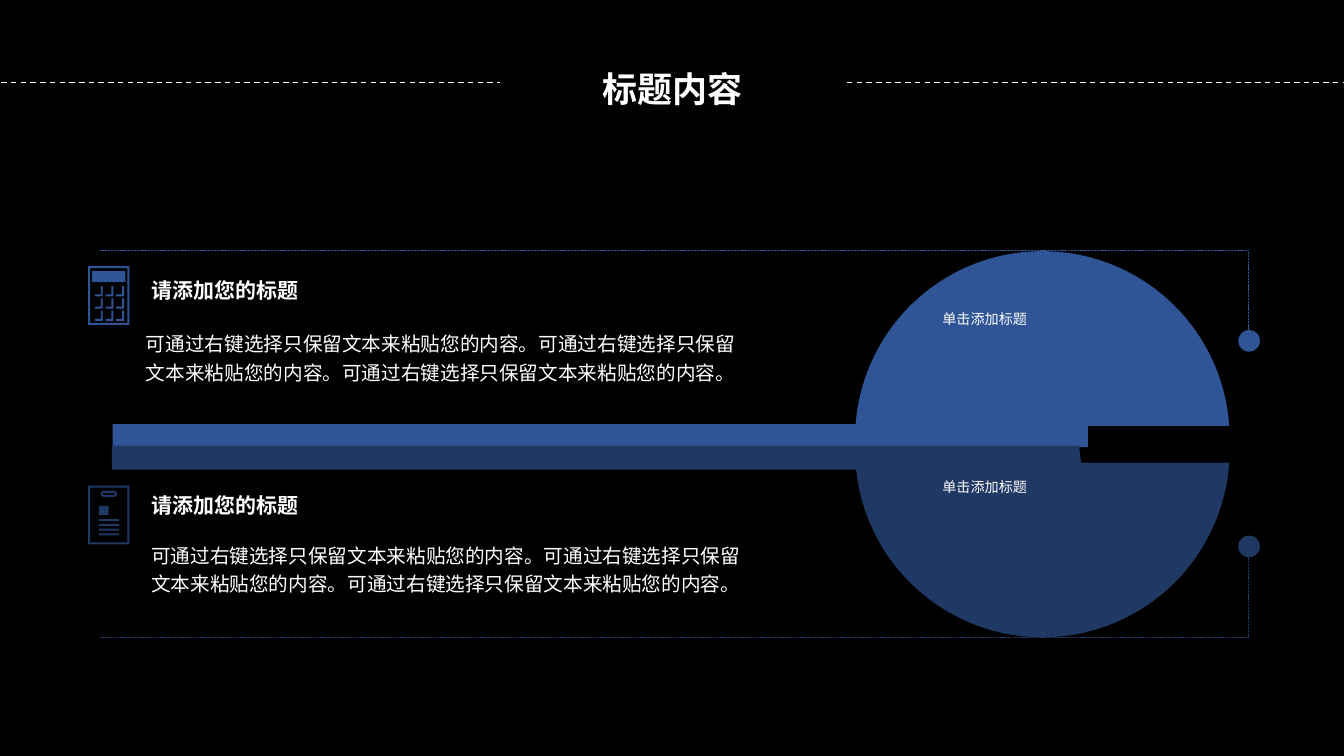
import math

import lxml.etree
import pptx
import pptx.dml.color
import pptx.enum.dml
import pptx.enum.shapes
import pptx.enum.text
import pptx.oxml.ns
import pptx.util

Cm = pptx.util.Cm
Pt = pptx.util.Pt
RGBColor = pptx.dml.color.RGBColor
Anchor = pptx.enum.text.MSO_ANCHOR
Dash = pptx.enum.dml.MSO_LINE
Connector = pptx.enum.shapes.MSO_CONNECTOR

# Content
TITLE = "标题内容"
HEADING = "请添加您的标题"
DETAIL = "可通过右键选择只保留文本来粘贴您的内容。" * 3
LABEL = "单击添加标题"

FONT = "Noto Sans CJK SC"
BLACK = RGBColor(0x00, 0x00, 0x00)
WHITE = RGBColor(0xFF, 0xFF, 0xFF)
BLUE = RGBColor(0x2F, 0x55, 0x97)
NAVY = RGBColor(0x20, 0x38, 0x64)

# Each half: direction is -1 for the upper and 1 for the lower; lengths in cm
HALVES = [
    {"color": BLUE, "direction": -1, "center": 11.05, "label": 7.7,
     "heading": 6.86, "detail": (3.43, 8.13), "frame": 6.3, "dot": 8.59},
    {"color": NAVY, "direction": 1, "center": 11.34, "label": 11.94,
     "heading": 12.29, "detail": (3.56, 13.46), "frame": 16.05, "dot": 13.77},
]
DISC_X, DISC_RADIUS, CHORD_OFFSET = 26.27, 4.72, 0.32
BAR_LEFT = 2.84
FRAME_LEFT, FRAME_RIGHT = 2.51, 31.5
DOT_X, DOT_SIZE = 31.48, 0.51
ICON_LEFT, ICON_WIDTH, ICON_HEIGHT, STROKE = 2.22, 1.04, 1.48, 0.05

deck = pptx.Presentation()
deck.slide_width, deck.slide_height = Cm(33.87), Cm(19.05)
page = deck.slides.add_slide(deck.slide_layouts[5])
page.background.fill.solid()
page.background.fill.fore_color.rgb = BLACK


def paint(shape, color, outline=None):
    shape.shadow.inherit = False
    shape.fill.solid()
    shape.fill.fore_color.rgb = color
    if outline:
        shape.line.color.rgb = color
        shape.line.width = Pt(outline)
    else:
        shape.line.fill.background()


def add_outline(contours, color, outline=None):
    """Draw closed contours, given in cm, as one shape."""
    builder = None
    for contour in contours:
        points = [(Cm(x), Cm(y)) for x, y in contour]
        if builder is None:
            builder = page.shapes.build_freeform(*points[0])
        else:
            builder.move_to(*points[0])
        builder.add_line_segments(points[1:], close=True)
    paint(builder.convert_to_shape(), color, outline)


def add_line(kind, start, end, color, width, dash):
    line = page.shapes.add_connector(kind, *map(Cm, start + end))
    line.line.color.rgb = color
    line.line.width = Pt(width)
    line.line.dash_style = dash
    lxml.etree.SubElement(line._element.spPr, pptx.oxml.ns.qn("a:effectLst"))
    return line


def write(box, text, size, bold=False, wrap=True, spacing=None):
    frame = box.text_frame
    frame.word_wrap = wrap
    frame.auto_size = pptx.enum.text.MSO_AUTO_SIZE.SHAPE_TO_FIT_TEXT
    frame.text = text
    para = frame.paragraphs[0]
    para.line_spacing = spacing
    para.font.name, para.font.size = FONT, Pt(size)
    para.font.bold, para.font.color.rgb = bold, WHITE
    return para


def add_text(left, top, width, height, *args, **options):
    box = page.shapes.add_textbox(*map(Cm, (left, top, width, height)))
    write(box, *args, **options)


def rectangle(left, top, width, height):
    right, bottom = left + width, top + height
    return [(left, top), (right, top), (right, bottom), (left, bottom)]


def icon_frame(top):
    return [rectangle(ICON_LEFT, top, ICON_WIDTH, ICON_HEIGHT),
            rectangle(ICON_LEFT + STROKE, top + STROKE,
                      ICON_WIDTH - 2 * STROKE, ICON_HEIGHT - 2 * STROKE)]


def capsule(left, top, width, height):
    radius = height / 2
    points = []
    for center, first in ((left + width - radius, -90), (left + radius, 90)):
        for step in range(9):
            angle = math.radians(first + step * 22.5)
            points.append((center + radius * math.cos(angle),
                           top + radius + radius * math.sin(angle)))
    return points


# Title between two dashed rules
title = page.shapes.title
title.left, title.top, title.width, title.height = map(Cm, (14.76, 1.57, 4.39, 1.32))
write(title, TITLE, 25, bold=True).alignment = pptx.enum.text.PP_ALIGN.CENTER
title.text_frame.vertical_anchor = Anchor.MIDDLE
for left, right in ((0.03, 12.6), (21.34, 33.87)):
    add_line(Connector.STRAIGHT, (left, 2.08), (right, 2.08), WHITE, 1, Dash.DASH)

# Key shaft
shaft = page.shapes.add_shape(pptx.enum.shapes.MSO_SHAPE.RECTANGLE,
                              *map(Cm, (BAR_LEFT, 10.69, 24.58, 0.58)))
paint(shaft, BLUE)
add_outline([[(BAR_LEFT, 11.25), (27.18, 11.25), (27.21, 11.53),
              (27.25, 11.82), (BAR_LEFT, 11.82)]], NAVY, 1)

# Half discs, dotted frames and text
chord_angle = math.asin(CHORD_OFFSET / DISC_RADIUS)
for half in HALVES:
    color = half["color"]
    angles = [chord_angle + (math.pi - 2 * chord_angle) * step / 90
              for step in range(91)]
    add_outline([[(DISC_X + DISC_RADIUS * math.cos(angle),
                   half["center"] + half["direction"] * DISC_RADIUS * math.sin(angle))
                  for angle in angles]], color)
    add_text(23.5, half["label"], 4.55, 1.17, LABEL, 10.1, wrap=False)

    elbow = add_line(Connector.ELBOW, (FRAME_LEFT, half["frame"]),
                     (FRAME_RIGHT, half["dot"]), color, 0.5, Dash.SQUARE_DOT)
    guides = elbow._element.spPr.prstGeom.get_or_add_avLst()
    lxml.etree.SubElement(guides, pptx.oxml.ns.qn("a:gd"),
                          name="adj1", fmla="val 99900")
    dot = page.shapes.add_shape(
        pptx.enum.shapes.MSO_SHAPE.OVAL, Cm(DOT_X - DOT_SIZE / 2),
        Cm(half["dot"] - DOT_SIZE / 2), Cm(DOT_SIZE), Cm(DOT_SIZE))
    paint(dot, color, 1)

    add_text(3.56, half["heading"], 7.85, 0.89, HEADING, 15, bold=True)
    add_text(*half["detail"], 15.39, 1.65, DETAIL, 14, spacing=1.2)

# Calculator icon: display and a grid of corner-shaped keys
calculator = icon_frame(6.71) + [rectangle(2.32, 6.83, 0.84, 0.28)]
for row in range(3):
    for column in range(3):
        left, top = 2.39 + 0.27 * column, 7.21 + 0.31 * row
        right, bottom = left + 0.2, top + 0.26
        calculator.append([(right - STROKE, top), (right, top), (right, bottom),
                           (left, bottom), (left, bottom - STROKE),
                           (right - STROKE, bottom - STROKE)])
add_outline(calculator, BLUE)

# Badge icon: slot, portrait and text lines
badge = icon_frame(12.24) + [capsule(2.54, 12.37, 0.41, 0.15),
                             capsule(2.59, 12.42, 0.31, 0.05),
                             rectangle(2.49, 12.75, 0.25, 0.23)]
badge += [rectangle(2.49, 13.08 + 0.12 * row, 0.51, STROKE) for row in range(4)]
add_outline(badge, NAVY)

deck.save("out.pptx")
